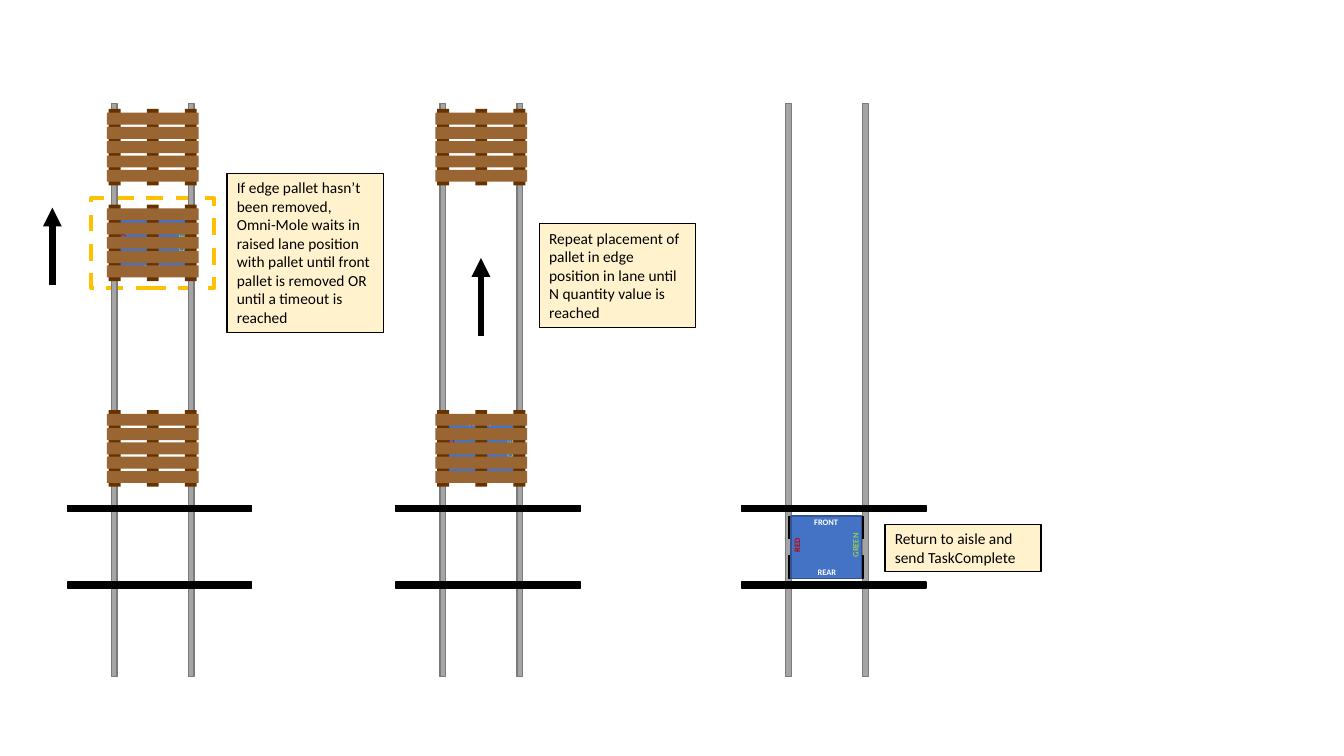
import pptx
import pptx.util
import pptx.dml.color
import pptx.enum.dml
import pptx.enum.shapes
import pptx.enum.text
import pptx.oxml.ns
from lxml import etree

Cm, Pt = pptx.util.Cm, pptx.util.Pt
HUES = {
    "black": "000000", "white": "FFFFFF", "gold": "FFC000", "rail": "A5A5A5",
    "edge": "7A7A7A", "blue": "4472C4", "navy": "325491", "green": "92D050",
    "red": "C00000", "dark": "663300", "wood": "996633", "cream": "FFF2CC",
}


class Board:
    font = "Calibri"

    def __init__(self, slide):
        self.slide = slide

    def hue(self, name):
        return pptx.dml.color.RGBColor.from_string(HUES[name])

    def group(self):
        return self.slide.shapes.add_group_shape().shapes

    def rect(self, host, mid_x, mid_y, wide, high, fill=None, line=None, weight=1):
        """Rectangle placed by its centre."""
        box = host.add_shape(
            pptx.enum.shapes.MSO_SHAPE.RECTANGLE,
            Cm(mid_x - wide / 2), Cm(mid_y - high / 2), Cm(wide), Cm(high))
        box.shadow.inherit = False
        if fill:
            box.fill.solid()
            box.fill.fore_color.rgb = self.hue(fill)
        else:
            box.fill.background()
        if line:
            box.line.color.rgb = self.hue(line)
            box.line.width = Pt(weight)
        else:
            box.line.fill.background()
        return box

    def letter(self, box, words, size, tint, align, bold=False):
        para = box.text_frame.paragraphs[0]
        para.text = words
        para.alignment = align
        font = para.runs[0].font
        font.name, font.size, font.bold = self.font, Pt(size), bold
        font.color.rgb = self.hue(tint)

    def label(self, host, words, mid_x, mid_y, tint, turn=0):
        wide, high = 1.12, 0.51
        box = host.add_textbox(
            Cm(mid_x - wide / 2), Cm(mid_y - high / 2), Cm(wide), Cm(high))
        box.rotation = turn
        box.text_frame.word_wrap = False
        box.text_frame.auto_size = pptx.enum.text.MSO_AUTO_SIZE.SHAPE_TO_FIT_TEXT
        self.letter(box, words, 6, tint, pptx.enum.text.PP_ALIGN.CENTER, True)

    def note(self, words, left, top, high):
        wide = 3.94
        box = self.rect(self.slide.shapes, left + wide / 2, top + high / 2,
                        wide, high, "cream", "black")
        frame = box.text_frame
        frame.word_wrap = True
        frame.vertical_anchor = pptx.enum.text.MSO_ANCHOR.TOP
        frame.auto_size = pptx.enum.text.MSO_AUTO_SIZE.SHAPE_TO_FIT_TEXT
        self.letter(box, words, 11, "black", pptx.enum.text.PP_ALIGN.LEFT)

    def arrow(self, x, start, end):
        line = self.slide.shapes.add_connector(
            pptx.enum.shapes.MSO_CONNECTOR.STRAIGHT,
            Cm(x), Cm(start), Cm(x), Cm(end))
        line.line.color.rgb = self.hue("black")
        line.line.width = Pt(4.5)
        qn = pptx.oxml.ns.qn
        props = line._element.spPr
        etree.SubElement(props.find(qn("a:ln")), qn("a:tailEnd"), type="triangle")
        etree.SubElement(props, qn("a:effectLst"))

    def lane(self, x):
        rails = self.group()
        for side in (-1, 1):
            self.rect(rails, x + side * 0.97, 9.83, 0.15, 14.43, "rail", "edge")
        aisle = self.group()
        for y in (12.81, 14.74):
            self.rect(aisle, x + 0.17, y, 4.65, 0.15, "black", "black")

    def mole(self, x, y, sides):
        part = self.group()
        x -= 0.02
        for side in sides:
            for end in (-1, 1):
                self.rect(part, x + side * 0.88, y + end * 0.5,
                          0.13, 0.56, "black", "black")
        self.rect(part, x, y, 1.78, 1.57, "blue", "navy")
        self.label(part, "FRONT", x, y - 0.64, "white")
        self.label(part, "REAR", x + 0.02, y + 0.64, "white")
        self.label(part, "GREEN", x + 0.74, y - 0.05, "green", 270)
        self.label(part, "RED", x - 0.74, y - 0.05, "red", 270)

    def pallet(self, x, y):
        part = self.group()
        for col in (-1, 0, 1):
            self.rect(part, x + col * 0.96, y, 0.3, 1.93, "dark")
        for row in range(-2, 3):
            self.rect(part, x, y + row * 0.36, 2.31, 0.3, "wood")


def main():
    deck = pptx.Presentation()
    deck.slide_width, deck.slide_height = Cm(33.87), Cm(19.05)
    board = Board(deck.slides.add_slide(deck.slide_layouts[6]))
    first, second, third = 3.85, 12.13, 20.84  # lane centres
    edge, wait, base, home = 3.71, 6.12, 11.3, 13.79  # stops along a lane

    # Lane 1: waiting behind the edge pallet
    frame = board.rect(board.slide.shapes, first, wait, 3.1, 2.26, None, "gold", 3)
    frame.line.dash_style = pptx.enum.dml.MSO_LINE.DASH
    board.lane(first)
    board.mole(first, wait, (1,))
    for stop in (wait, edge, base):
        board.pallet(first, stop)
    board.note("If edge pallet hasn’t been removed, Omni-Mole waits in raised lane "
               "position with pallet until front pallet is removed OR until a "
               "timeout is reached", 5.72, 4.37, 4.01)
    board.arrow(1.32, 7.19, 5.23)

    # Lane 2: repeating the placement
    board.lane(second)
    board.mole(second, base, (1,))
    for stop in (edge, base):
        board.pallet(second, stop)
    board.note("Repeat placement of pallet in edge position in lane until N "
               "quantity value is reached", 13.59, 5.64, 2.62)
    board.arrow(12.12, 8.46, 6.5)

    # Lane 3: back in the aisle
    board.lane(third)
    board.mole(third, home, (1, -1))
    board.note("Return to aisle and send TaskComplete", 22.3, 13.21, 1.19)

    deck.save("out.pptx")


if __name__ == "__main__":
    main()
